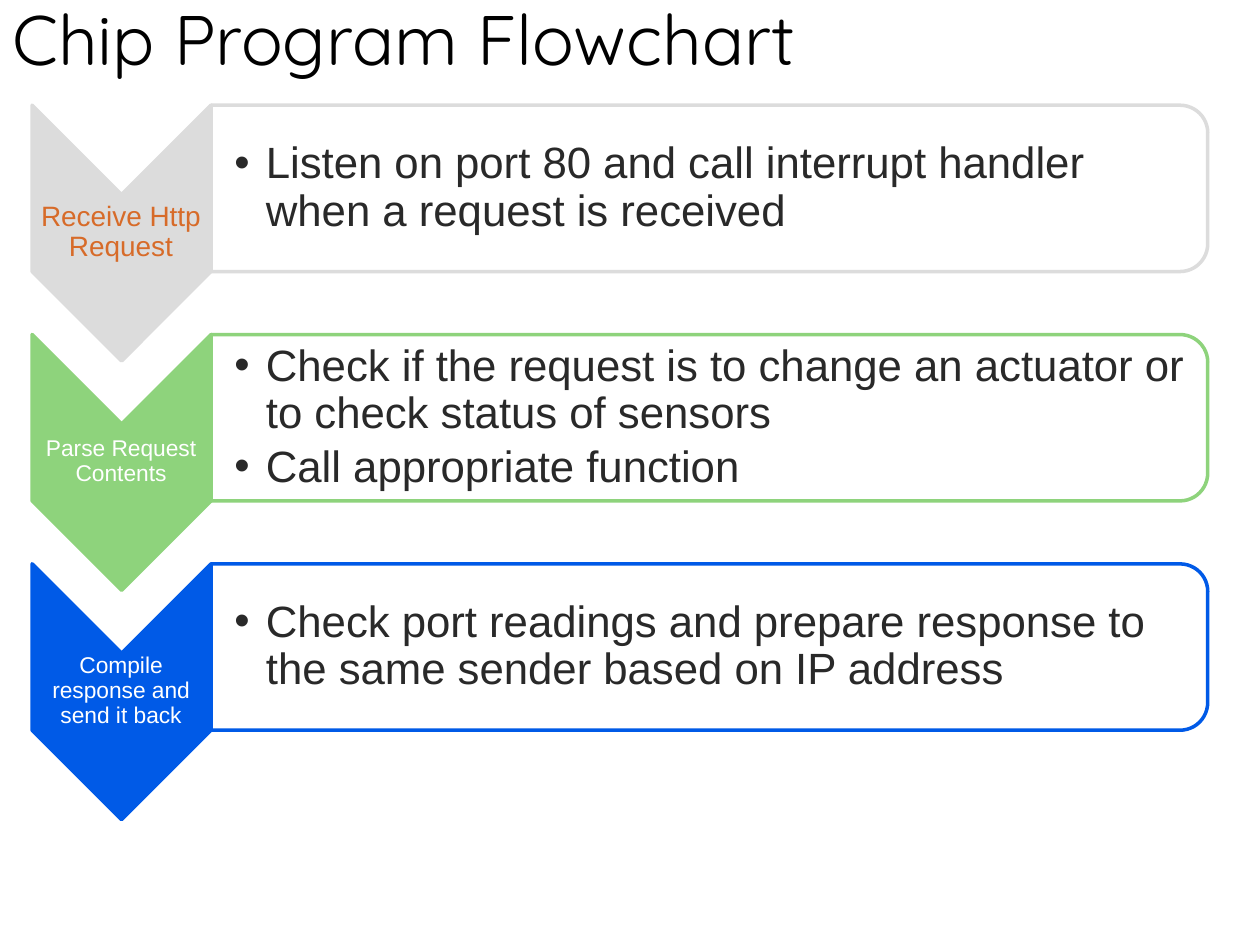
from lxml.etree import SubElement
from pptx import Presentation
from pptx.dml.color import RGBColor
from pptx.enum.shapes import MSO_SHAPE as Shape
from pptx.enum.text import MSO_ANCHOR as Anchor, PP_ALIGN as Align
from pptx.oxml.ns import qn
from pptx.util import Inches, Pt

BLACK = RGBColor(0x00, 0x00, 0x00)
WHITE = RGBColor(0xFF, 0xFF, 0xFF)
INK = RGBColor(0x29, 0x29, 0x29)
ORANGE = RGBColor(0xD7, 0x6B, 0x29)
GREY = RGBColor(0xDC, 0xDC, 0xDC)
GREEN = RGBColor(0x8E, 0xD3, 0x7C)
BLUE = RGBColor(0x00, 0x5A, 0xE7)

STEP_PITCH = 1.82
STEPS = [
    ("Receive Http Request", 16, ORANGE, GREY,
     ["Listen on port 80 and call interrupt handler when a request is received"]),
    ("Parse Request Contents", 13, WHITE, GREEN,
     ["Check if the request is to change an actuator or to check status of sensors",
      "Call appropriate function"]),
    ("Compile response and send it back", 13, WHITE, BLUE,
     ["Check port readings and prepare response to the same sender based on IP address"]),
]


class FlowchartSlide:
    """Draws the title and the steps of a flowchart on one slide."""

    title_font = "Quicksand"
    body_font = "Arial"
    line_spacing = 0.9

    def __init__(self, deck):
        self.slide = deck.slides.add_slide(deck.slide_layouts[5])

    def title(self, wording):
        title = self.slide.shapes.title
        title.left, title.top = Inches(0), Inches(-0.08)
        title.width, title.height = Inches(10), Inches(0.75)
        frame = title.text_frame
        frame.text = wording
        frame.vertical_anchor = Anchor.MIDDLE
        heading = frame.paragraphs[0]
        heading.alignment = Align.LEFT
        self.style(heading, self.title_font, 40, BLACK)

    def style(self, paragraph, family, size, color):
        for run in paragraph.runs:
            run.font.name = family
            run.font.size = Pt(size)
            run.font.color.rgb = color

    def turned_shape(self, kind, left, top, width, height, fill, line):
        shape = self.slide.shapes.add_shape(
            kind, Inches(left), Inches(top), Inches(width), Inches(height))
        shape.rotation = 90
        shape.shadow.inherit = False
        shape.fill.solid()
        shape.fill.fore_color.rgb = fill
        shape.line.color.rgb = line
        shape.line.width = Pt(2)

    def text(self, left, top, width, height, lines, size, color, inset, left_inset):
        box = self.slide.shapes.add_textbox(
            Inches(left), Inches(top), Inches(width), Inches(height))
        frame = box.text_frame
        frame.word_wrap = True
        frame.vertical_anchor = Anchor.MIDDLE
        frame.margin_left = Inches(left_inset)
        frame.margin_top = frame.margin_right = frame.margin_bottom = Inches(inset)
        frame.text = "\n".join(lines)
        for paragraph in frame.paragraphs:
            paragraph.line_spacing = self.line_spacing
            self.style(paragraph, self.body_font, size, color)
        return frame.paragraphs

    def label(self, top, wording, size, color):
        for paragraph in self.text(0.25, top, 1.42, 0.61, [wording], size, color, 0.01, 0.01):
            paragraph.alignment = Align.CENTER

    def bullets(self, top, lines):
        paragraphs = self.text(1.67, top, 7.85, 1.19, lines, 25, INK, 0.02, 0.19)
        for index, paragraph in enumerate(paragraphs):
            properties = paragraph._p.get_or_add_pPr()
            properties.set("marL", str(Inches(0.25)))
            properties.set("indent", str(Inches(-0.25)))
            SubElement(properties, qn("a:buFont")).set("typeface", self.body_font)
            SubElement(properties, qn("a:buChar")).set("char", "•")
            if index:
                paragraph.space_before = Pt(3.75)

    def step(self, offset, wording, size, color, accent, details):
        self.turned_shape(Shape.CHEVRON, -0.05, 1.14 + offset, 2.03, 1.42, accent, accent)
        self.label(1.54 + offset, wording, size, color)
        self.turned_shape(Shape.ROUND_2_SAME_RECTANGLE,
                          4.97, -2.46 + offset, 1.32, 7.91, WHITE, accent)
        self.bullets(0.9 + offset, details)


def main():
    deck = Presentation()
    deck.slide_width, deck.slide_height = Inches(10), Inches(7.5)
    flowchart = FlowchartSlide(deck)
    flowchart.title("Chip Program Flowchart")
    for index, step in enumerate(STEPS):
        flowchart.step(index * STEP_PITCH, *step)
    deck.save("out.pptx")


if __name__ == "__main__":
    main()
